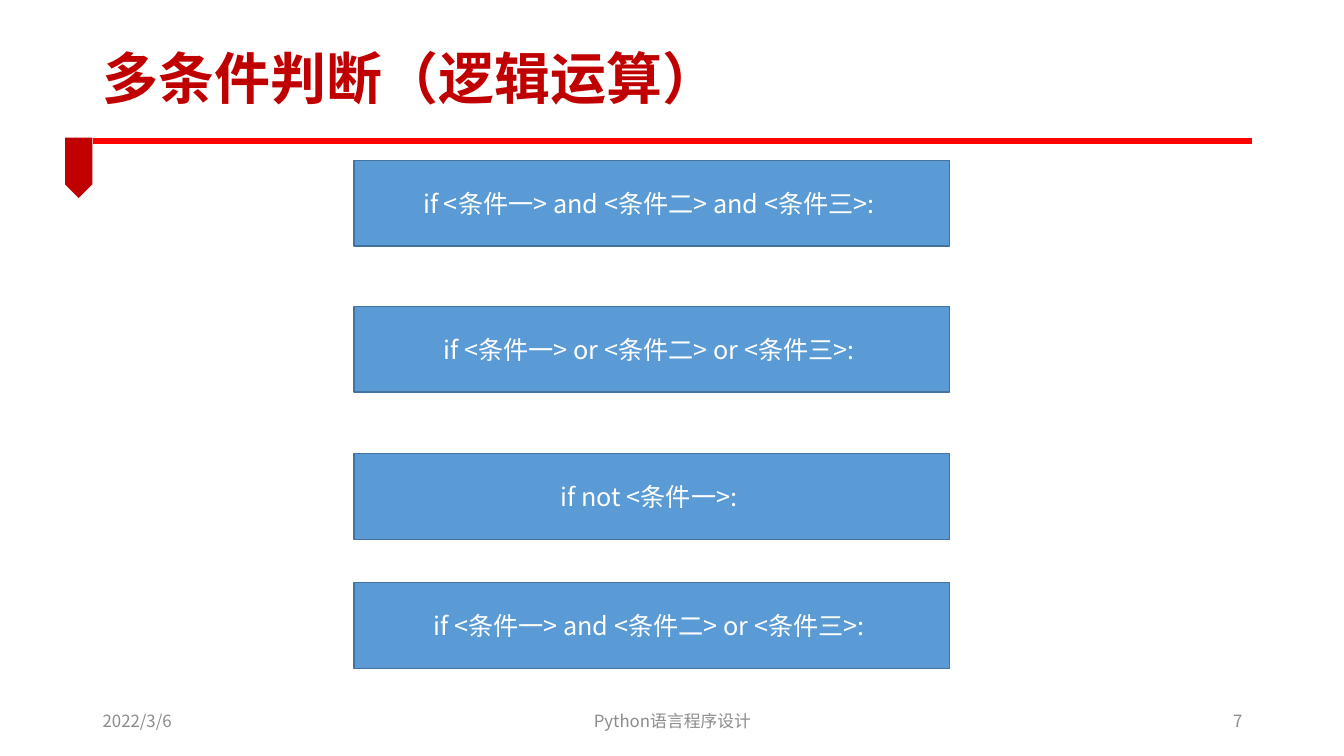
from lxml.etree import SubElement
from pptx import Presentation
from pptx.dml.color import RGBColor
from pptx.enum.shapes import MSO_CONNECTOR as CONN, MSO_SHAPE as SHAPE
from pptx.enum.text import MSO_ANCHOR as ANCHOR, PP_ALIGN as ALIGN
from pptx.oxml.ns import qn
from pptx.util import Inches, Pt

FONT = "Noto Sans CJK SC"
COLORS = {
    "rule": "FF0000",
    "accent": "C00000",
    "box": "5B9BD5",
    "edge": "43739E",
    "white": "FFFFFF",
    "muted": "8C8C8C",
}


def color(name):
    return RGBColor.from_string(COLORS[name])


def write(sp, text, size=18, fill="white", bold=False, align=ALIGN.LEFT, spacing=None):
    tf = sp.text_frame
    tf.word_wrap = True
    tf.vertical_anchor = ANCHOR.MIDDLE
    p = tf.paragraphs[0]
    p.alignment = align
    if spacing:
        p.line_spacing = spacing
    r = p.add_run()
    r.text = text
    r.font.size = Pt(size)
    r.font.bold = bold
    r.font.color.rgb = color(fill)
    r.font.name = FONT
    SubElement(r.font._element, qn("a:ea"), typeface=FONT)


class SlideBuilder:
    def __init__(self, slide):
        self.s = slide

    def line(self, x1, y1, x2, y2, fill, width):
        ends = [Inches(v) for v in (x1, y1, x2, y2)]
        sp = self.s.shapes.add_connector(CONN.STRAIGHT, *ends)
        sp.line.color.rgb = color(fill)
        sp.line.width = Pt(width)
        SubElement(sp._element.spPr, qn("a:effectLst"))

    def shape(self, kind, x, y, w, h, fill, edge=None, rotation=0):
        sp = self.s.shapes.add_shape(kind, *[Inches(v) for v in (x, y, w, h)])
        sp.shadow.inherit = False
        sp.rotation = rotation
        sp.fill.solid()
        sp.fill.fore_color.rgb = color(fill)
        if edge:
            sp.line.color.rgb = color(edge)
            sp.line.width = Pt(1)
        else:
            sp.line.fill.background()
        return sp

    def text(self, text, x, y, w, h, **style):
        sp = self.s.shapes.add_textbox(*[Inches(v) for v in (x, y, w, h)])
        write(sp, text, **style)

    def condition(self, text, y):
        sp = self.shape(SHAPE.RECTANGLE, 3.51, y, 5.91, 0.85, "box", "edge")
        write(sp, text, align=ALIGN.CENTER)


def main():
    prs = Presentation()
    prs.slide_width = Inches(13.33)
    prs.slide_height = Inches(7.5)
    b = SlideBuilder(prs.slides.add_slide(prs.slide_layouts[6]))

    b.line(0.92, 1.4, 12.42, 1.4, "rule", 4.5)
    b.shape(SHAPE.PENTAGON, 0.48, 1.53, 0.6, 0.27, "accent", rotation=90)

    for text, x, w, align in (
        ("2022/3/6", 0.92, 3, ALIGN.LEFT),
        ("Python语言程序设计", 4.42, 4.5, ALIGN.CENTER),
        ("7", 9.42, 3, ALIGN.RIGHT),
    ):
        b.text(text, x, 6.95, w, 0.4, size=12, fill="muted", align=align)

    b.text("多条件判断（逻辑运算）", 0.92, 0.35, 8.87, 0.92,
           size=40, fill="accent", bold=True, spacing=0.9)

    for text, y in (
        ("if <条件一> and <条件二> and <条件三>: ", 1.59),
        ("if <条件一> or <条件二> or <条件三>: ", 3.04),
        ("if not <条件一>: ", 4.5),
        ("if <条件一> and <条件二> or <条件三>: ", 5.78),
    ):
        b.condition(text, y)

    prs.save("out.pptx")


if __name__ == "__main__":
    main()
